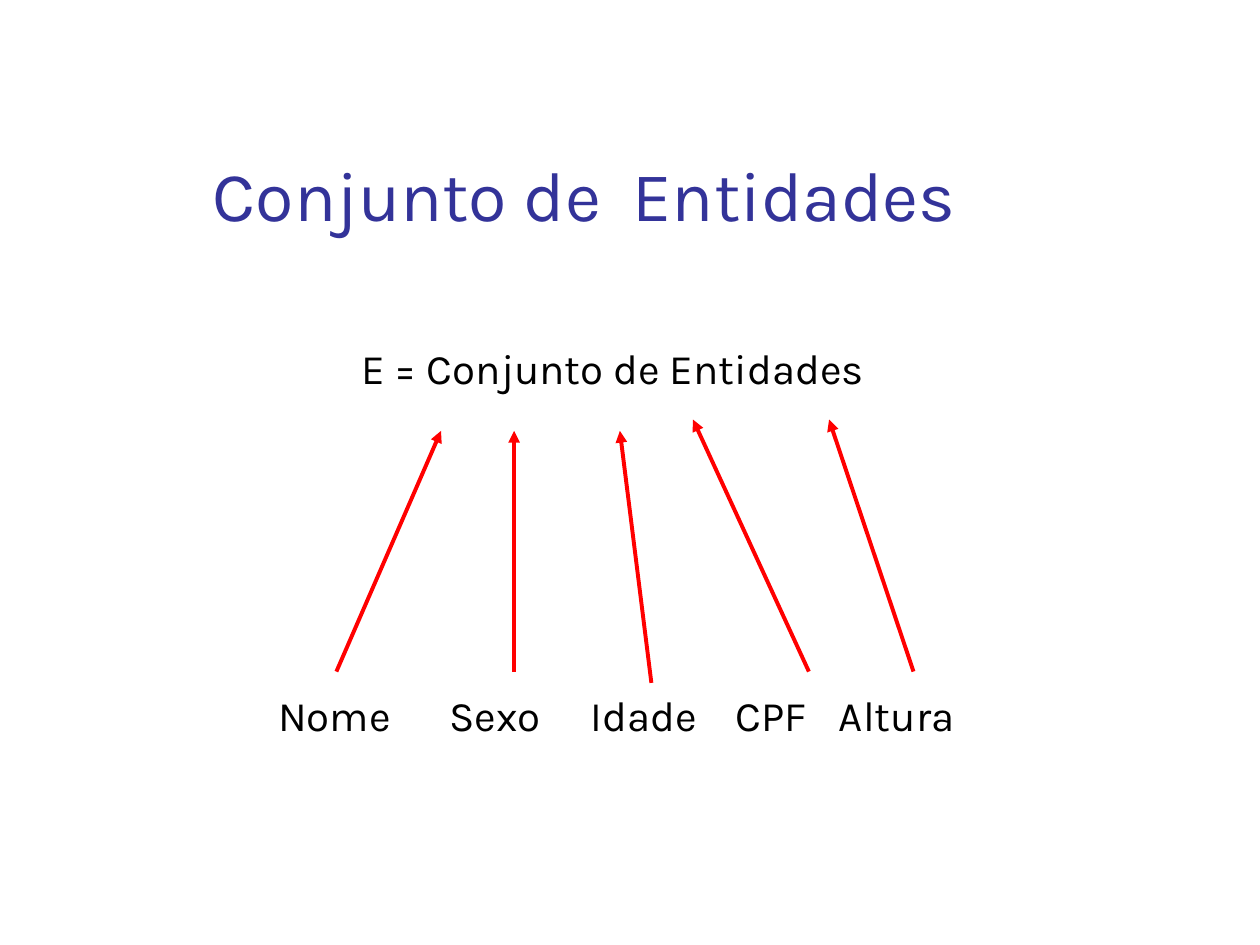
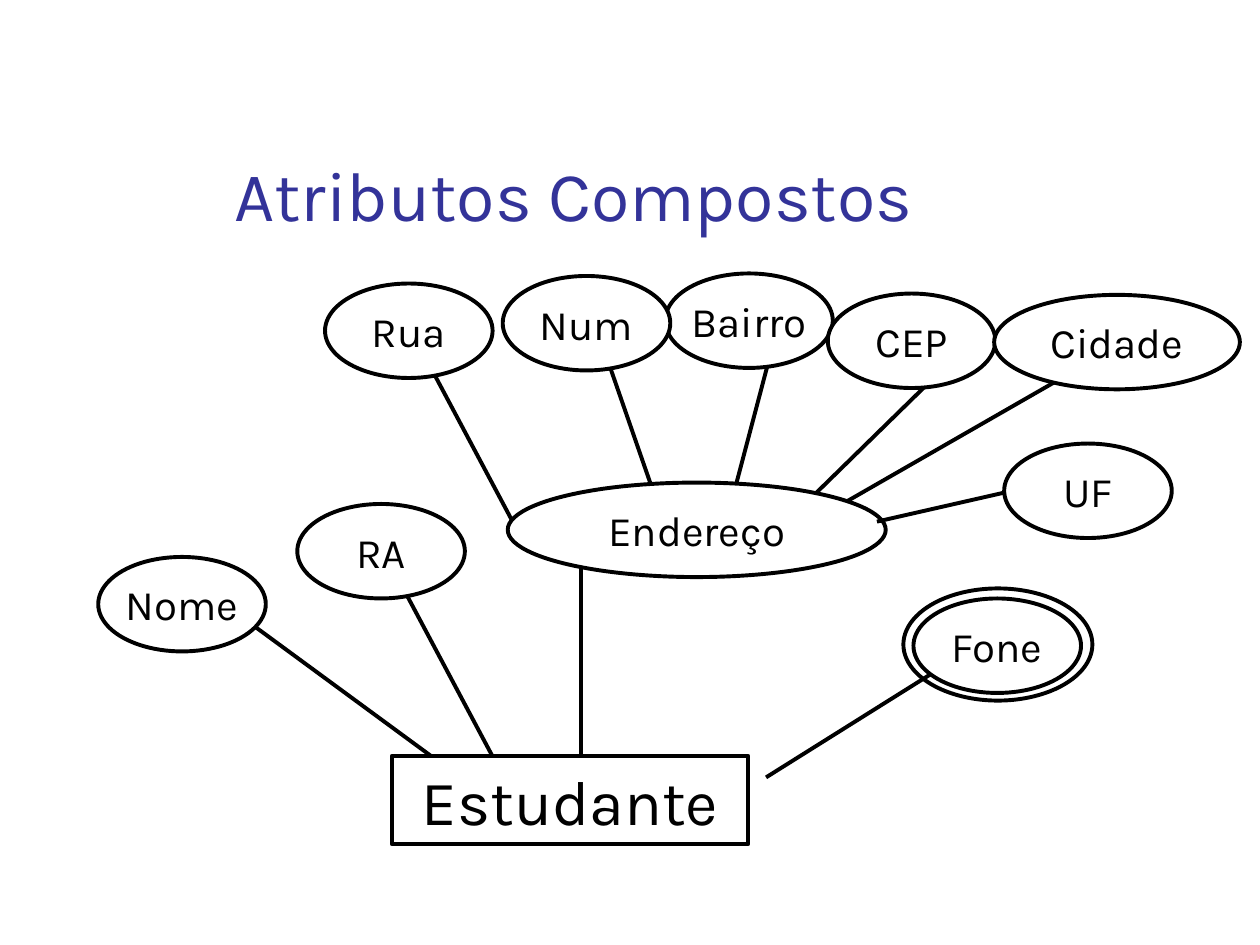
"""Build two slides on entity sets and composite attributes."""
from pptx import Presentation
from pptx.dml.color import RGBColor
from pptx.enum.shapes import MSO_CONNECTOR, MSO_SHAPE
from pptx.enum.text import MSO_ANCHOR as Anchor, MSO_AUTO_SIZE, PP_ALIGN as Align
from pptx.oxml.ns import qn
from pptx.util import Inches, Pt
from lxml.etree import SubElement

INDIGO = RGBColor(0x33, 0x33, 0x99)
BLACK = RGBColor(0, 0, 0)
WHITE = RGBColor(255, 255, 255)
RED = RGBColor(255, 0, 0)
FONT = "Karla"
LINE_WIDTH = Pt(2.25)
OVAL_WIDTH, OVAL_HEIGHT = 1.33, 0.75


def write(box, text, size=24, color=BLACK, align=Align.LEFT,
          anchor=Anchor.TOP, wrap=True, tabs=()):
    frame = box.text_frame
    frame_format = {"auto_size": MSO_AUTO_SIZE.NONE, "word_wrap": wrap,
                    "vertical_anchor": anchor}
    for name, value in frame_format.items():
        setattr(frame, name, value)
    para = frame.paragraphs[0]
    para.alignment = align
    if tabs:
        stops = SubElement(para._p.get_or_add_pPr(), qn("a:tabLst"))
        for stop in tabs:
            SubElement(stops, qn("a:tab"), pos=str(Inches(stop)), algn="l")
    span = para.add_run()
    span.text = text
    for name, value in {"name": FONT, "size": Pt(size)}.items():
        setattr(span.font, name, value)
    span.font.color.rgb = color


def connect(page, start, end, color=BLACK, arrow=False):
    points = [Inches(value) for value in (*start, *end)]
    line = page.shapes.add_connector(MSO_CONNECTOR.STRAIGHT, *points)
    line.line.color.rgb = color
    line.line.width = LINE_WIDTH
    properties = line._element.spPr
    if arrow:
        SubElement(properties.find(qn("a:ln")), qn("a:tailEnd"), type="triangle")
    SubElement(properties, qn("a:effectLst"))


deck = Presentation()
deck.slide_width, deck.slide_height = Inches(10), Inches(7.5)

pages = []
for title_text, title_left, title_tabs in [
    ("Conjunto de\tEntidades", 1.59, [3.33]),
    ("Atributos Compostos", 1.76, []),
]:
    page = deck.slides.add_slide(deck.slide_layouts[5])
    title = page.shapes.title
    title_place = {"left": title_left, "top": 0.67, "width": 8.74, "height": 1.25}
    for name, value in title_place.items():
        setattr(title, name, Inches(value))
    write(title, title_text, 40, INDIGO, anchor=Anchor.BOTTOM, tabs=title_tabs)
    pages.append(page)
entity_page, attribute_page = pages

for text, left, top, width, tabs in [
    ("E = Conjunto de Entidades", 2.77, 2.67, 4.29, []),
    ("Nome\tSexo\tIdade\tCPF\tAltura", 2.11, 5.42, 5.89, [1.36, 2.48, 3.63, 4.45]),
]:
    place = [Inches(value) for value in (left, top, width, 0.5)]
    box = entity_page.shapes.add_textbox(*place)
    write(box, text, wrap=bool(tabs), tabs=tabs)

for start, end in [
    ((2.67, 5.33), (3.5, 3.42)),
    ((4.08, 5.33), (4.08, 3.42)),
    ((5.17, 5.42), (4.92, 3.42)),
    ((6.42, 5.33), (5.5, 3.33)),
    ((7.25, 5.33), (6.58, 3.33)),
]:
    connect(entity_page, start, end, RED, arrow=True)

back_lines = [
    ((6.11, 2.83), (5.78, 4.08)),
    ((4.61, 4.5), (4.61, 6.17)),
    ((3.42, 2.92), (4.17, 4.33)),
]
back_ovals = [
    ("Rua", 2.58, 2.25, OVAL_WIDTH, OVAL_HEIGHT),
    ("Endereço", 4.03, 3.83, 3, OVAL_HEIGHT),
    ("Bairro", 5.28, 2.17, OVAL_WIDTH, OVAL_HEIGHT),
    ("", 7.17, 4.67, 1.5, 0.89),
]
front_lines = [
    ((7.41, 3), (6.48, 3.91)),
    ((7.97, 3.91), (6.96, 4.14)),
    ((4.82, 2.85), (5.16, 3.83)),
    ((8.41, 3.01), (6.72, 3.98)),
    ((1.95, 4.92), (3.53, 6.08)),
    ((3.2, 4.67), (3.95, 6.08)),
    ((7.42, 5.33), (6.08, 6.17)),
]
front_ovals = [
    ("Num", 3.99, 2.19, OVAL_WIDTH, OVAL_HEIGHT),
    ("CEP", 6.57, 2.33, OVAL_WIDTH, OVAL_HEIGHT),
    ("UF", 7.97, 3.52, OVAL_WIDTH, OVAL_HEIGHT),
    ("Cidade", 7.89, 2.34, 1.95, OVAL_HEIGHT),
    ("Nome", 0.78, 4.42, OVAL_WIDTH, OVAL_HEIGHT),
    ("RA", 2.36, 4, OVAL_WIDTH, OVAL_HEIGHT),
    ("Fone", 7.25, 4.75, OVAL_WIDTH, OVAL_HEIGHT),
    ("Estudante", 3.11, 6, 2.83, 0.7),
]
for lines, nodes in [(back_lines, back_ovals), (front_lines, front_ovals)]:
    for start, end in lines:
        connect(attribute_page, start, end)
    for text, *place in nodes:
        is_entity = text == "Estudante"
        kind = MSO_SHAPE.RECTANGLE if is_entity else MSO_SHAPE.OVAL
        node = attribute_page.shapes.add_shape(kind, *[Inches(value) for value in place])
        node.shadow.inherit = False
        node.fill.solid()
        node.fill.fore_color.rgb = WHITE
        node.line.color.rgb = BLACK
        node.line.width = LINE_WIDTH
        if text:
            write(node, text, 36 if is_entity else 24, align=Align.CENTER,
                  anchor=Anchor.TOP if is_entity else Anchor.MIDDLE, wrap=is_entity)

deck.save("out.pptx")
